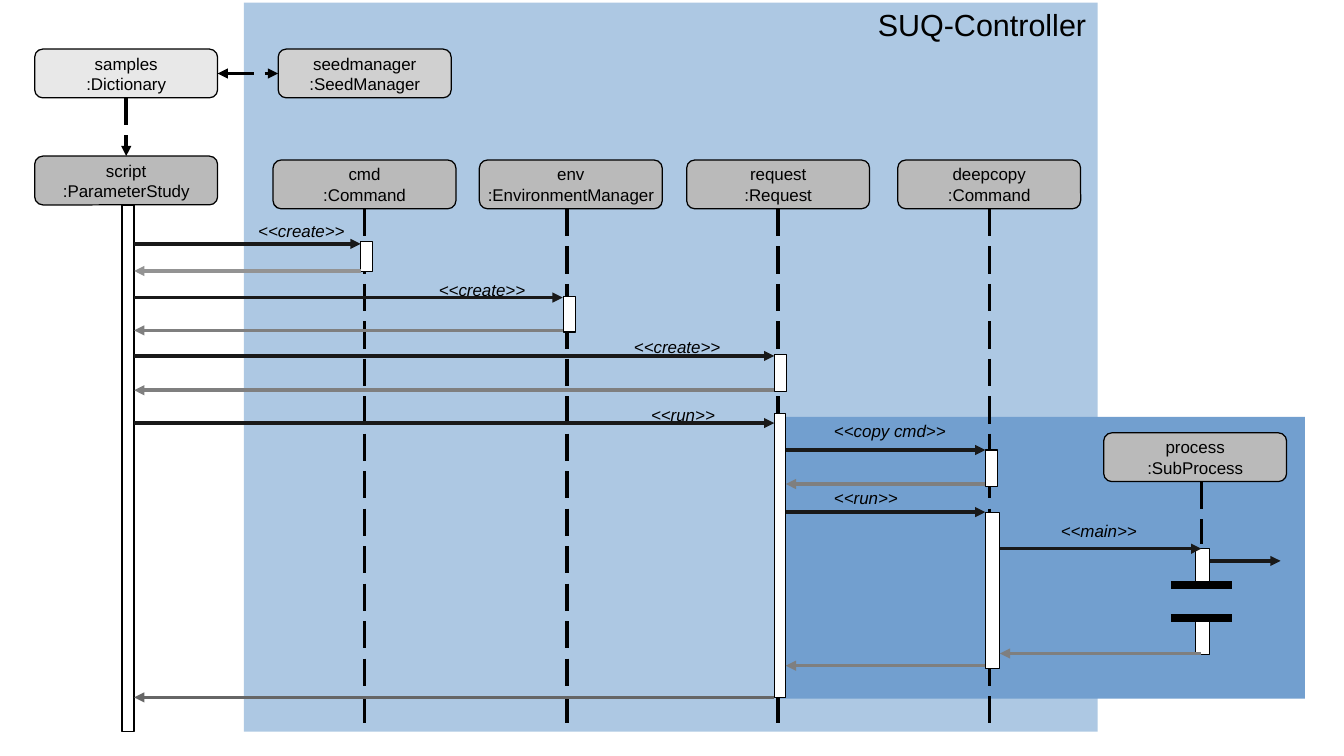
from collections import namedtuple
from dataclasses import dataclass

from lxml.etree import SubElement
from pptx import Presentation
from pptx.dml.color import RGBColor
from pptx.enum.dml import MSO_LINE
from pptx.enum.shapes import MSO_CONNECTOR, MSO_SHAPE
from pptx.enum.text import MSO_ANCHOR, PP_ALIGN
from pptx.oxml.ns import qn
from pptx.util import Pt

Box = namedtuple("Box", "x y w h")


@dataclass(frozen=True)
class Theme:
    font: str = "Arial"
    title_size: float = 18
    text_size: float = 10
    hairline: float = 0
    break_width: float = 4.5
    ink: str = "000000"
    call: str = "191919"
    reply: str = "7F7F7F"
    first_reply: str = "939393"
    last_reply: str = "666666"
    bar: str = "FFFFFF"
    controller: str = "ADC8E3"
    process: str = "729FCF"
    head: str = "BABABA"
    seed: str = "D0D0D0"
    samples: str = "E8E8E8"


T = Theme()
HEAD_W, HEAD_H = 108, 28.8
BAR_W, WIDE_BAR_W = 7.2, 8.6


# Basic parts
def add_run(p, text, size=T.text_size, italic=False):
    r = p.add_run()
    r.text = text
    r.font.name, r.font.size, r.font.italic = T.font, Pt(size), italic
    r.font.color.rgb = RGBColor.from_string(T.ink)


def add_block(s, box, fill, kind=MSO_SHAPE.RECTANGLE, outline=True):
    sp = s.shapes.add_shape(kind, *map(Pt, box))
    sp.shadow.inherit = False
    sp.fill.solid()
    sp.fill.fore_color.rgb = RGBColor.from_string(fill)
    if outline:
        sp.line.color.rgb = RGBColor.from_string(T.ink)
        sp.line.width = Pt(T.hairline)
    else:
        sp.line.fill.background()
    return sp


def add_head(s, box, name, kind, fill=T.head):
    sp = add_block(s, box, fill, MSO_SHAPE.ROUNDED_RECTANGLE)
    tf = sp.text_frame
    tf.word_wrap = False
    tf.vertical_anchor = MSO_ANCHOR.MIDDLE
    for p, text in zip((tf.paragraphs[0], tf.add_paragraph()), (name, ":" + kind)):
        p.alignment = PP_ALIGN.CENTER
        add_run(p, text)
    return sp


def add_label(s, box, text, size=T.text_size, italic=True):
    tf = s.shapes.add_textbox(*map(Pt, box)).text_frame
    tf.word_wrap = True
    add_run(tf.paragraphs[0], text, size, italic)


def add_line(s, x1, y1, x2, y2, color=T.ink, width=T.hairline, dashed=False, ends=()):
    c = s.shapes.add_connector(MSO_CONNECTOR.STRAIGHT, Pt(x1), Pt(y1), Pt(x2), Pt(y2))
    c.line.color.rgb = RGBColor.from_string(color)
    c.line.width = Pt(width)
    if dashed:
        c.line.dash_style = MSO_LINE.LONG_DASH
    spPr = c._element.spPr
    for end in ends:
        SubElement(spPr.find(qn("a:ln")), qn("a:" + end), type="triangle")
    SubElement(spPr, qn("a:effectLst"))
    return c


def add_participant(s, x, y, bottom, name, kind, shift=0):
    """Head with a dashed lifeline at x; shift moves the head off the line."""
    head = add_head(s, Box(x - HEAD_W / 2 + shift, y, HEAD_W, HEAD_H), name, kind)
    line = add_line(s, x, y + HEAD_H, x, bottom, dashed=True)
    if not shift:
        line.begin_connect(head, 2)


# Controller region: title, participants and their activation bars
def draw_controller(s, box):
    add_label(s, Box(box.x + 367.2, box.y - 1.5, 230, 27.4),
              "SUQ-Controller", T.title_size, False)
    lanes = [
        (71.2, "cmd", "Command", 0, [(141, 18, BAR_W)]),
        (190.8, "env", "EnvironmentManager", 2.2, [(173.5, 21, BAR_W)]),
        (315.4, "request", "Request", 0, [(208, 21.6, BAR_W), (242.6, 167.8, 6.8)]),
        (440, "deepcopy", "Command", 0,
         [(264.2, 21.6, BAR_W), (300.9, 92.2, WIDE_BAR_W)]),
    ]
    for dx, name, kind, shift, bars in lanes:
        x = box.x + dx
        add_participant(s, x, box.y + 93, box.y + box.h, name, kind, shift)
        for dy, h, w in bars:
            add_block(s, Box(x - 2.3, box.y + dy, w, h), T.bar)
    return add_head(s, Box(box.x + 20.2, box.y + 27.5, 102.2, HEAD_H),
                    "seedmanager", "SeedManager", T.seed)


# Process region: participant and its interrupted activation bar
def draw_process(s, box):
    x, y = box.x + 249.2, box.y
    add_participant(s, x, y + 9.4, y + 75, "process", "SubProcess", -3.6)
    for bar_dy, break_dy in ((77.8, 99.4), (120.3, 118.8)):
        add_block(s, Box(x - 3.6, y + bar_dy, WIDE_BAR_W, 20.2), T.bar)
        add_line(s, x - 18, y + break_dy, x + 18, y + break_dy, width=T.break_width)


# Script region: sample dictionary, script head and its long bar
def draw_script(s, box, seed):
    samples = add_head(s, Box(box.x, box.y, HEAD_W, HEAD_H),
                       "samples", "Dictionary", T.samples)
    script = add_head(s, Box(box.x, box.y + 63.2, HEAD_W, HEAD_H),
                      "script", "ParameterStudy")
    add_block(s, Box(box.x + 51.5, box.y + 92, BAR_W, box.h - 92), T.bar)
    down = add_line(s, 0, 0, 0, 0, dashed=True, ends=["tailEnd"])
    down.begin_connect(samples, 2)
    down.end_connect(script, 0)
    across = add_line(s, 0, 0, 0, 0, dashed=True, ends=["headEnd", "tailEnd"])
    across.begin_connect(samples, 3)
    across.end_connect(seed, 1)


# Messages between the bars, with their labels
def draw_messages(s, box):
    script, cmd, env, request, copy_bar = 79.2, 212.9, 332.2, 457.1, 581.7
    request_out, copy_out, process, process_out = 463.9, 590.3, 709.2, 714.2
    messages = [
        (script, cmd, 144, T.call),
        (cmd, script, 160, T.first_reply),
        (script, env, 175.7, T.call),
        (env, script, 195.1, T.reply),
        (script, request, 210.2, T.call),
        (request, script, 230.4, T.reply),
        (script, request, 249.8, T.call),
        (request_out, copy_bar, 265.7, T.call),
        (copy_bar, request_out, 285.8, T.reply),
        (request_out, copy_bar, 302.4, T.call),
        (copy_out, process, 324, T.call),
        (process_out, 756, 331.2, T.call),
        (process, copy_out, 385.9, T.reply),
        (copy_bar, request_out, 393.1, T.reply),
        (request, script, 411.8, T.last_reply),
    ]
    for x1, x2, y, color in messages:
        y += box.y
        add_line(s, box.x + x1, y, box.x + x2, y, color, ends=["tailEnd"])
    labels = [
        (145.4, 126.7, "create"), (252, 161.3, "create"), (367.2, 195.1, "create"),
        (377.3, 235.4, "run"), (485.3, 244.8, "copy cmd"), (485.3, 284.4, "run"),
        (619.2, 303.8, "main"),
    ]
    for x, y, text in labels:
        add_label(s, Box(box.x + x, box.y + y, HEAD_W, 18), f"<<{text}>>")


def draw_sequence_slide(s, box):
    controller = Box(box.x + 144, box.y + 1.5, 504, 430.5)
    process = Box(box.x + 460, box.y + 246.2, 310.3, 166.3)
    add_block(s, controller, T.controller, outline=False)
    add_block(s, process, T.process, outline=False)
    seed = draw_controller(s, controller)
    draw_process(s, process)
    draw_script(s, Box(box.x + 20.5, box.y + 29, HEAD_W, 403), seed)
    draw_messages(s, box)


def main():
    prs = Presentation()
    page = Box(0, 0, 793.44, 446.4)
    prs.slide_width, prs.slide_height = Pt(page.w), Pt(page.h)
    s = prs.slides.add_slide(prs.slide_layouts[6])
    draw_sequence_slide(s, page)
    prs.save("out.pptx")


if __name__ == "__main__":
    main()
